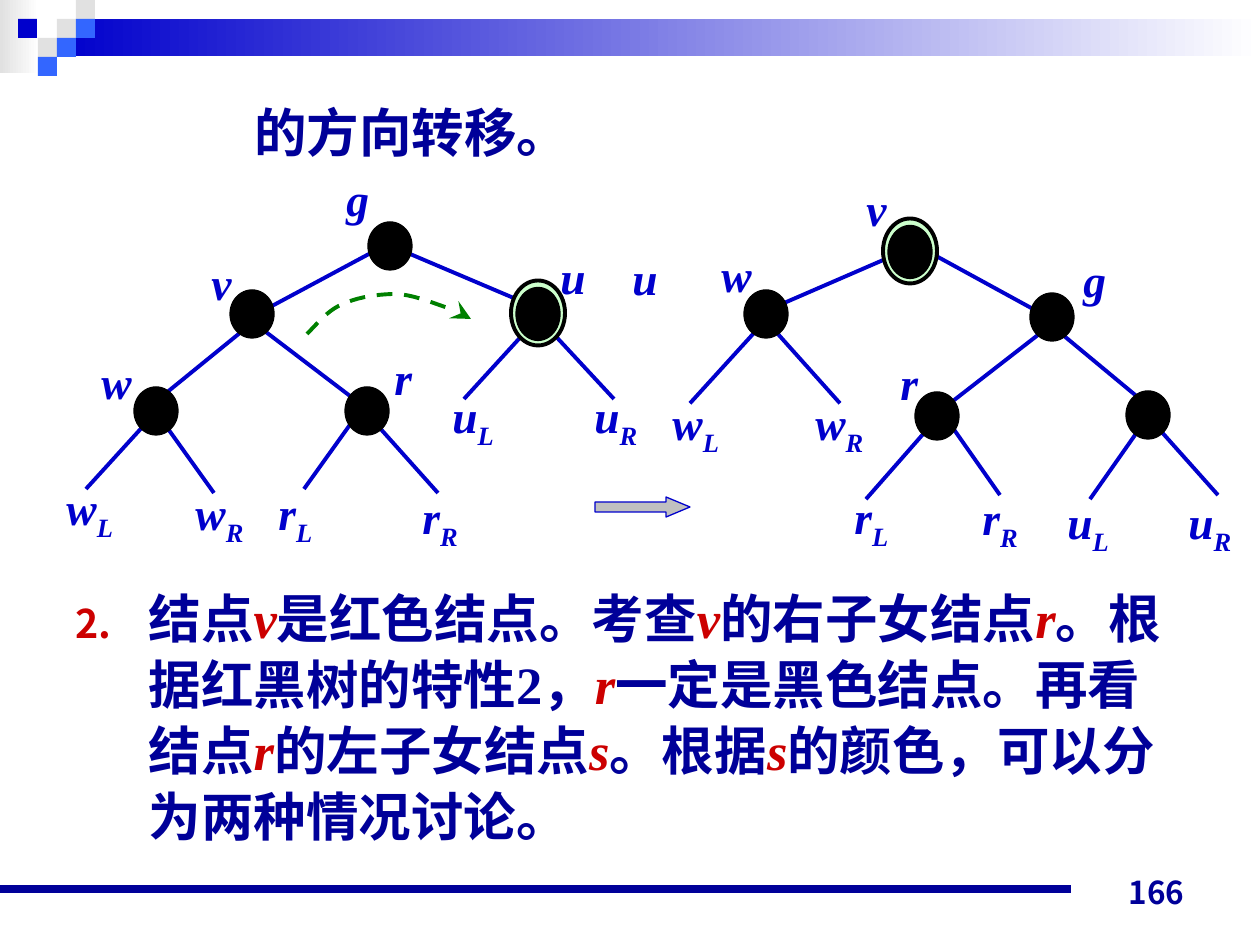
from lxml.etree import SubElement
from pptx import Presentation
from pptx.dml.color import RGBColor as Rgb
from pptx.enum.dml import MSO_LINE as Dash
from pptx.enum.shapes import MSO_CONNECTOR as Conn, MSO_SHAPE as Kind
from pptx.enum.text import MSO_ANCHOR as Anchor, MSO_AUTO_SIZE as Fit, PP_ALIGN as Align
from pptx.oxml.ns import qn
from pptx.util import Pt

UNIT = 914400 / 126
HUE = {"navy": "000099", "blue": "0000CC", "sky": "3366FF", "red": "CC0000", "gray": "E1E1E1",
       "steel": "C0C0C0", "mint": "CCFFCC", "green": "008000", "black": "000000", "white": "FFFFFF"}
SERIF, SANS = "Times New Roman", "Noto Sans CJK JP"
BODY = {"name": SERIF, "size": Pt(30), "bold": True}
LABEL = {"name": SERIF, "size": Pt(26), "bold": True, "italic": True}
PAGE = {"name": SANS, "size": Pt(18), "bold": True}
FRAME = {"word_wrap": True, "auto_size": Fit.NONE, "margin_left": 91440, "margin_right": 0,
         "margin_top": 0, "margin_bottom": 0, "vertical_anchor": Anchor.TOP}

TILES = [(57, 19, "gray"), (76, 0, "gray"), (76, 19, "sky"), (38, 38, "gray"),
         (18, 19, "blue"), (57, 38, "sky"), (38, 57, "sky")]
EDGES = [(403, 251, 523, 302), (528, 329, 464, 399), (549, 329, 614, 399), (378, 426, 438, 493),
         (262, 329, 354, 399), (382, 247, 272, 306), (246, 328, 160, 398), (352, 422, 304, 489),
         (166, 426, 214, 493), (147, 422, 86, 489)]
NODES = [(390, 246), (252, 314), (367, 411), (156, 411),
         (766, 314), (1052, 317), (937, 416), (1148, 415)]
RINGS = [(538, 313), (910, 251)]
TAGS = [("g", "", 334, 165), ("v", "", 199, 249), ("u", "", 548, 243), ("w", "", 89, 348),
        ("r", "", 382, 344), ("u", "L", 440, 382), ("u", "R", 582, 382), ("w", "L", 54, 474),
        ("w", "R", 183, 479), ("r", "L", 266, 479), ("r", "R", 410, 483),
        ("g", "", 1071, 246), ("v", "", 854, 175), ("u", "", 620, 244), ("w", "", 709, 241),
        ("r", "", 888, 349), ("w", "L", 660, 389), ("w", "R", 803, 389), ("r", "L", 842, 483),
        ("r", "R", 970, 484), ("u", "L", 1055, 488), ("u", "R", 1176, 488)]
ARC = [(307, 334), (318, 323), (328, 310), (343, 304), (358, 297), (379, 294), (397, 294),
       (415, 295), (438, 305), (451, 309), (464, 312), (467, 317), (471, 319)]
ITEM = ["结点", "v", "是红色结点。考查", "v", "的右子女结点", "r", "。根据红黑树的特性2，", "r",
        "一定是黑色结点。再看结点", "r", "的左子女结点", "s", "。根据", "s",
        "的颜色，可以分为两种情况讨论。"]


def px(*vals):
    """Turn px lengths into EMU."""
    return [round(v * UNIT) for v in vals]


def rgb(hue):
    """Return the named colour."""
    return Rgb.from_string(HUE[hue])


def put(obj, vals):
    """Set each attribute in a dict of values."""
    for key, val in vals.items():
        setattr(obj, key, val)


def write(para, text, look, hue, **more):
    """Add one styled run to a paragraph."""
    run = para.add_run()
    run.text = text
    put(run.font, {**look, **more})
    run.font.color.rgb = rgb(hue)
    SubElement(run.font._element, qn("a:ea"), typeface=SANS)
    return run


def box(slide, *area, **more):
    """Add a text box and return its first paragraph."""
    frame = slide.shapes.add_textbox(*px(*area)).text_frame
    put(frame, {**FRAME, **more})
    return frame.paragraphs[0]


def shape(slide, kind, area, fill, edge=None, width=0.75):
    """Add a preset shape; two hues in fill make a gradient."""
    item = slide.shapes.add_shape(kind, *px(*area))
    item.shadow.inherit = False
    if isinstance(fill, tuple):
        item.fill.gradient()
        item.fill.gradient_angle = 0
        for stop, hue, pos in zip(item.fill.gradient_stops, fill, (0, 1)):
            stop.color.rgb, stop.position = rgb(hue), pos
    else:
        item.fill.solid()
        item.fill.fore_color.rgb = rgb(fill)
    if edge:
        item.line.color.rgb, item.line.width = rgb(edge), Pt(width)
    else:
        item.line.fill.background()
    return item


def line(slide, ends, hue, width):
    """Add a straight line."""
    item = slide.shapes.add_connector(Conn.STRAIGHT, *px(*ends))
    item.line.color.rgb, item.line.width = rgb(hue), Pt(width)
    SubElement(item._element.spPr, qn("a:effectLst"))


def oval(slide, x, y, w, h, fill, width=0.75):
    """Add a tree node around its centre."""
    shape(slide, Kind.OVAL, (x - w / 2, y - h / 2, w, h), fill, "black", width)


def flip(x1, y1, x2, y2):
    """Mirror an edge into the right-hand tree."""
    drop = [y + 0.02 * (y - 184) for y in (y1, y2)]
    return 1304 - x1, drop[0], 1304 - x2, drop[1]


def curve(slide, pts, steps=10):
    """Add a dashed arrow along joined cubic curves."""
    dots = []
    for i in range(0, len(pts) - 1, 3):
        for k in range(1, steps + 1):
            t = k / steps
            mix = ((1 - t) ** 3, 3 * t * (1 - t) ** 2, 3 * t * t * (1 - t), t ** 3)
            dots.append([sum(m * p[a] for m, p in zip(mix, pts[i:i + 4])) for a in (0, 1)])
    path = slide.shapes.build_freeform(*px(*pts[0]))
    path.add_line_segments([px(*dot) for dot in dots], close=False)
    item = path.convert_to_shape()
    item.shadow.inherit = False
    item.fill.background()
    item.line.color.rgb = rgb("green")
    put(item.line, {"width": Pt(2.25), "dash_style": Dash.DASH})
    SubElement(item.line._get_or_add_ln(), qn("a:tailEnd"), type="stealth", w="lg", len="lg")


def banner(slide):
    """Draw the top band, its tiles and the foot rule."""
    shape(slide, Kind.RECTANGLE, (0, 0, 39, 73), ("gray", "white"))
    shape(slide, Kind.RECTANGLE, (57, 19, 1203, 37), ("blue", "white"))
    for x, y, hue in TILES:
        shape(slide, Kind.RECTANGLE, (x, y, 19, 19), hue)
    line(slide, (0, 889, 1071, 889), "navy", 4.5)


def trees(slide):
    """Draw both trees with their labels and the arrows."""
    for edge in EDGES:
        line(slide, edge, "blue", 2.25)
        line(slide, flip(*edge), "blue", 2.25)
    for x, y in NODES:
        oval(slide, x, y, 44, 48, "black")
    for x, y in RINGS:
        oval(slide, x, y, 54, 65, "mint", 2.25)
        oval(slide, x, y + 1, 44, 53, "black")
    for name, sub, x, y in TAGS:
        para = box(slide, x, y, 74, 70, margin_top=45720)
        write(para, name, LABEL, "blue")
        if sub:
            write(para, sub, LABEL, "blue").font._element.set("baseline", "-25000")
    arrow = shape(slide, Kind.RIGHT_ARROW, (595, 497, 95, 20), "steel", "blue")
    arrow.adjustments[1] = 1.196
    curve(slide, ARC)


def point(body):
    """Fill the body with the numbered point."""
    put(body, dict(zip(("left", "top", "width", "height"), px(63, 583, 1134, 270))))
    put(body.text_frame, {**FRAME, "margin_right": 91440})
    para = body.text_frame.paragraphs[0]
    put(para, {"line_spacing": Pt(37.7), "space_before": Pt(0)})
    prop = para._p.get_or_add_pPr()
    dent = px(73)[0]
    prop.set("marL", str(dent))
    prop.set("indent", str(-dent))
    SubElement(SubElement(prop, qn("a:buClr")), qn("a:srgbClr"), val=HUE["red"])
    SubElement(prop, qn("a:buSzPct"), val="75000")
    SubElement(prop, qn("a:buFont"), typeface=SANS)
    SubElement(prop, qn("a:buAutoNum"), type="arabicPeriod", startAt="2")
    for i, text in enumerate(ITEM):
        write(para, text, BODY, "red" if i % 2 else "navy", italic=bool(i % 2))


def main():
    """Build the slide and save it."""
    deck = Presentation()
    put(deck, dict(zip(("slide_width", "slide_height"), px(1260, 945))))
    slide = deck.slides.add_slide(deck.slide_layouts[1])
    title = slide.shapes.title._element
    title.getparent().remove(title)
    banner(slide)
    head = box(slide, 242, 97, 600, 66)
    head.line_spacing = Pt(37.7)
    write(head, "的方向转移。", BODY, "navy")
    trees(slide)
    point(slide.placeholders[1])
    foot = box(slide, 903, 854, 294, 63, margin_right=91440, margin_bottom=45720,
               vertical_anchor=Anchor.BOTTOM)
    foot.alignment = Align.RIGHT
    write(foot, "166", PAGE, "navy")
    deck.save("out.pptx")


if __name__ == "__main__":
    main()
